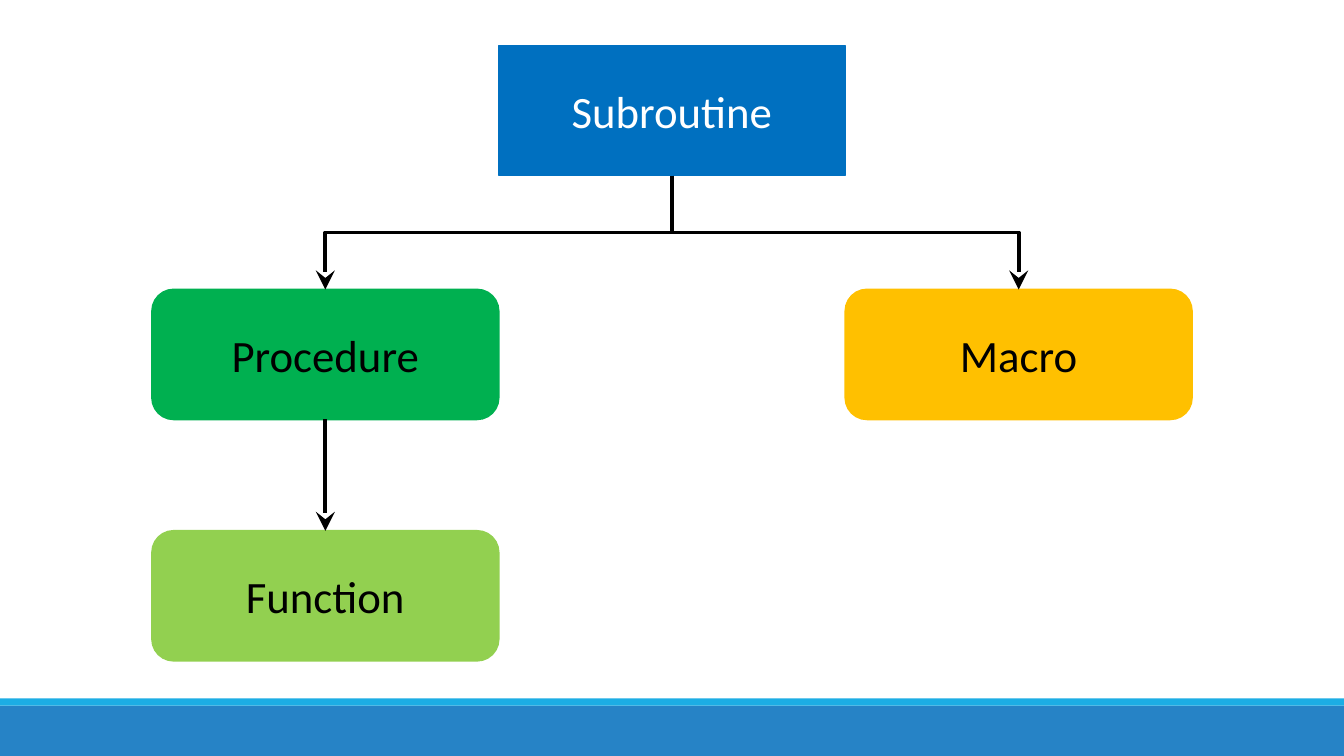
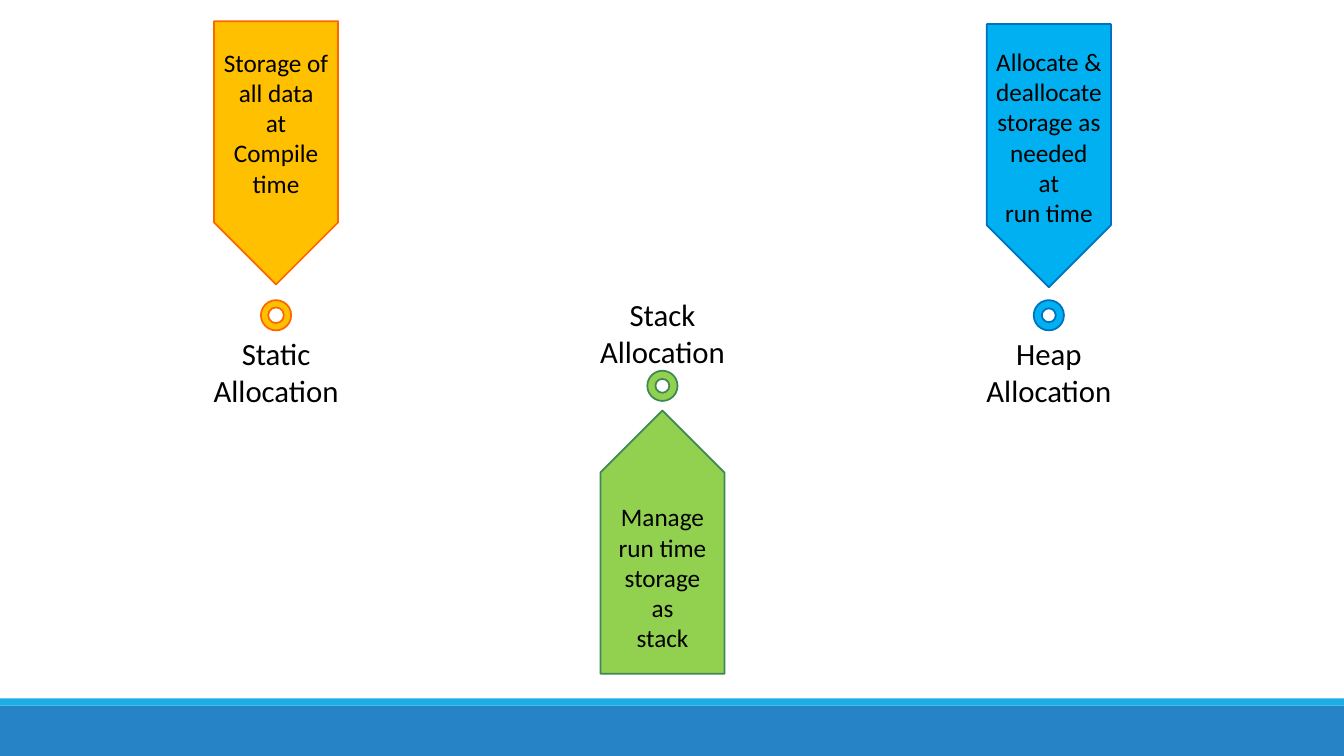
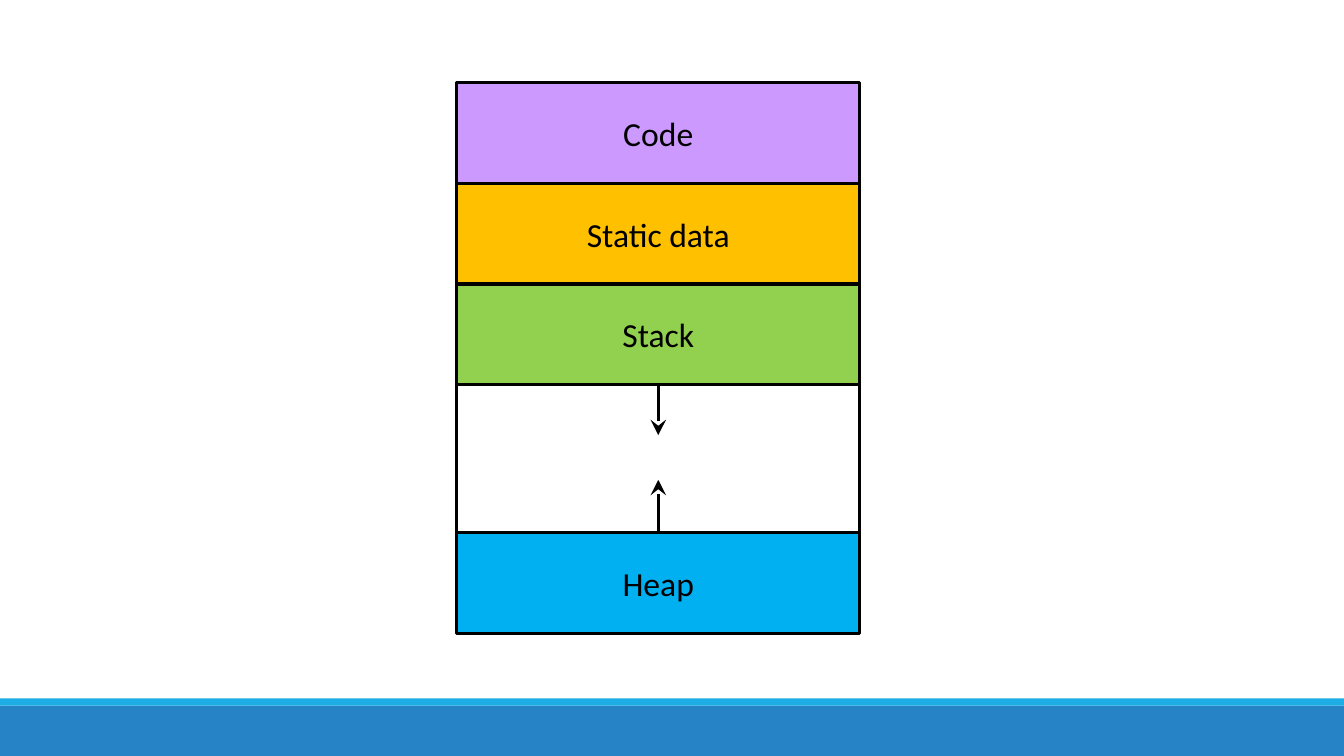
"""Build three slides on subroutines, storage allocation and memory layout."""
from dataclasses import dataclass

from lxml.etree import SubElement as Sub
from pptx import Presentation
from pptx.dml.color import RGBColor as Rgb
from pptx.enum.shapes import MSO_CONNECTOR as Link, MSO_SHAPE as Form
from pptx.enum.text import MSO_ANCHOR as Anchor, MSO_AUTO_SIZE as Fit, PP_ALIGN as Align
from pptx.oxml.ns import qn
from pptx.shapes.autoshape import Shape
from pptx.shapes.connector import Connector
from pptx.slide import Slide
from pptx.text.text import TextFrame
from pptx.util import Pt


@dataclass(frozen=True)
class Theme:
    font: str = "Calibri"
    black: str = "000000"
    white: str = "FFFFFF"
    blue: str = "0070C0"
    sky: str = "00B0F0"
    gold: str = "FFC000"
    orange: str = "FF6600"
    green: str = "00B050"
    lime: str = "92D050"
    moss: str = "3E8853"
    lilac: str = "CC99FF"
    base: str = "2683C6"
    strip: str = "1CADE4"
    node: float = 32
    cell: float = 24
    label: float = 22
    note: float = 18
    thin: float = 1.25
    edge: float = 2.25
    thick: float = 2.75


@dataclass(frozen=True)
class Box:
    left: float
    top: float
    width: float
    height: float


@dataclass(frozen=True)
class Node:
    text: str
    form: Form
    mid: float
    top: float
    fill: str
    ink: str


@dataclass(frozen=True)
class Tag:
    label: str
    note: str
    fill: str
    line: str
    turn: int
    plate: float
    ring: float
    hole: float
    name_top: float
    note_top: float


@dataclass(frozen=True)
class Cell:
    text: str
    top: float
    height: float
    fill: str


T = Theme()
WIDE, HIGH = 960, 540


def write(frame: TextFrame, text: str, size: float, ink: str) -> None:
    """Write each line of text as a centred paragraph."""
    for i, line in enumerate(text.split("\n")):
        para = frame.add_paragraph() if i else frame.paragraphs[0]
        para.alignment = Align.CENTER
        run = para.add_run()
        run.text = line
        run.font.name = T.font
        run.font.size = Pt(size)
        run.font.color.rgb = Rgb.from_string(ink)


def draw(slide: Slide, form: Form, box: Box, fill: str, line: str = "", width: float = T.thin) -> Shape:
    """Draw a filled shape, outlined when a line colour is given."""
    shape = slide.shapes.add_shape(form, Pt(box.left), Pt(box.top), Pt(box.width), Pt(box.height))
    shape.shadow.inherit = False
    shape.fill.solid()
    shape.fill.fore_color.rgb = Rgb.from_string(fill)
    if line:
        shape.line.color.rgb = Rgb.from_string(line)
        shape.line.width = Pt(width)
    else:
        shape.line.fill.background()
    return shape


def fill_in(shape: Shape, text: str, size: float, ink: str) -> None:
    """Centre text inside a shape."""
    shape.text_frame.vertical_anchor = Anchor.MIDDLE
    write(shape.text_frame, text, size, ink)


def put(slide: Slide, text: str, mid: float, top: float, size: float) -> None:
    """Place a text box without wrapping, centred on a column."""
    width, height = 110, 1.2 * size * len(text.split("\n")) + 7.2
    frame = slide.shapes.add_textbox(Pt(mid - width / 2), Pt(top), Pt(width), Pt(height)).text_frame
    frame.word_wrap = False
    frame.auto_size = Fit.SHAPE_TO_FIT_TEXT
    write(frame, text, size, T.black)


def arrow(slide: Slide, kind: Link, x1: float, y1: float, x2: float, y2: float, width: float) -> Connector:
    """Draw a black line that ends in a large arrowhead."""
    link = slide.shapes.add_connector(kind, Pt(x1), Pt(y1), Pt(x2), Pt(y2))
    link.line.color.rgb = Rgb.from_string(T.black)
    link.line.width = Pt(width)
    props = link.element.spPr
    Sub(props.find(qn("a:ln")), qn("a:tailEnd"), type="stealth", w="lg", len="lg")
    Sub(props, qn("a:effectLst"))
    return link


def bend(slide: Slide, x1: float, y1: float, x2: float, y2: float, width: float) -> None:
    """Draw an elbow arrow that leaves downwards, as a turned connector."""
    mx, my = (x1 + x2) / 2, (y1 + y2) / 2
    dx, dy = abs(x2 - x1) / 2, (y2 - y1) / 2
    side = 1 if x2 < x1 else -1
    link = arrow(slide, Link.ELBOW, mx - side * dy, my - dx, mx + side * dy, my + dx, width)
    link.element.spPr.xfrm.set("rot", str((90 if side > 0 else 270) * 60000))


def bands(deck: Presentation, slide: Slide) -> None:
    """Put the two bottom bands on the slide master."""
    tree = deck.slide_master.element.cSld.spTree
    for i, (top, height, fill) in enumerate(((504, 36, T.base), (498.8, 5.2, T.strip))):
        part = draw(slide, Form.RECTANGLE, Box(0, top, WIDE, height), fill).element
        part.nvSpPr.cNvPr.set("id", str(20 + i))
        tree.append(part)


def calls(slide: Slide) -> None:
    """Draw the tree of subroutine kinds."""
    width, height, mid = 247.6, 92.8, WIDE / 2
    left, right = mid - width, mid + width
    root, row, leaf = 32.6, 206.8, 379.2
    for node in (
        Node("Subroutine", Form.RECTANGLE, mid, root, T.blue, T.white),
        Node("Macro", Form.ROUNDED_RECTANGLE, right, row, T.gold, T.black),
        Node("Procedure", Form.ROUNDED_RECTANGLE, left, row, T.green, T.black),
        Node("Function", Form.ROUNDED_RECTANGLE, left, leaf, T.lime, T.black),
    ):
        box = Box(node.mid - width / 2, node.top, width, height)
        fill_in(draw(slide, node.form, box, node.fill, node.fill), node.text, T.node, node.ink)
    for end in (left, right):
        bend(slide, mid, root + height, end, row, T.thick)
    arrow(slide, Link.STRAIGHT, left, row + height, left, leaf, T.thick)


def stores(slide: Slide) -> None:
    """Draw the three ways to allocate storage."""
    long, short, ring = 188, 88.6, 21.6
    tags = (
        Tag("Static\nAllocation", "Storage of\nall data\nat\nCompile\ntime",
            T.gold, T.orange, 90, 15.2, 214.4, 0.24, 235.8, 30),
        Tag("Stack\nAllocation", "Manage\nrun time\nstorage\nas\nstack",
            T.lime, T.moss, 270, 293.2, 264.8, 0.27, 207.4, 354.8),
        Tag("Heap\nAllocation", "Allocate &\ndeallocate\nstorage as\nneeded\nat\nrun time",
            T.sky, T.blue, 90, 17.2, 214.4, 0.27, 235.8, 29.5),
    )
    for i, tag in enumerate(tags):
        mid = 197.2 + 276 * i
        put(slide, tag.label, mid, tag.name_top, T.label)
        box = Box(mid - ring / 2, tag.ring, ring, ring)
        draw(slide, Form.DONUT, box, tag.fill, tag.line).adjustments[0] = tag.hole
        box = Box(mid - long / 2, tag.plate + (long - short) / 2, long, short)
        draw(slide, Form.PENTAGON, box, tag.fill, tag.line).rotation = tag.turn
        put(slide, tag.note, mid, tag.note_top, T.note)


def layout(slide: Slide) -> None:
    """Draw the memory layout as a stack of cells."""
    left, width, top, row, gap = 326.2, 288, 58.9, 72, 105.8
    free = top + 3 * row
    heap, mid = free + gap, left + width / 2
    for cell in (
        Cell("", free, gap, T.white),
        Cell("Code", top, row, T.lilac),
        Cell("Static data", top + row, row, T.gold),
        Cell("Stack", top + 2 * row, row, T.lime),
        Cell("Heap", heap, row, T.sky),
    ):
        box = Box(left, cell.top, width, cell.height)
        shape = draw(slide, Form.RECTANGLE, box, cell.fill, T.black, T.edge)
        if cell.text:
            fill_in(shape, cell.text, T.cell, T.black)
    for start, end in ((free, free + 36), (heap, heap - 38)):
        arrow(slide, Link.STRAIGHT, mid, start, mid, end, T.edge)


def main() -> None:
    """Build and save the deck."""
    deck = Presentation()
    deck.slide_width, deck.slide_height = Pt(WIDE), Pt(HIGH)
    for i, build in enumerate((calls, stores, layout)):
        slide = deck.slides.add_slide(deck.slide_layouts[6])
        if not i:
            bands(deck, slide)
        build(slide)
    deck.save("out.pptx")


if __name__ == "__main__":
    main()
